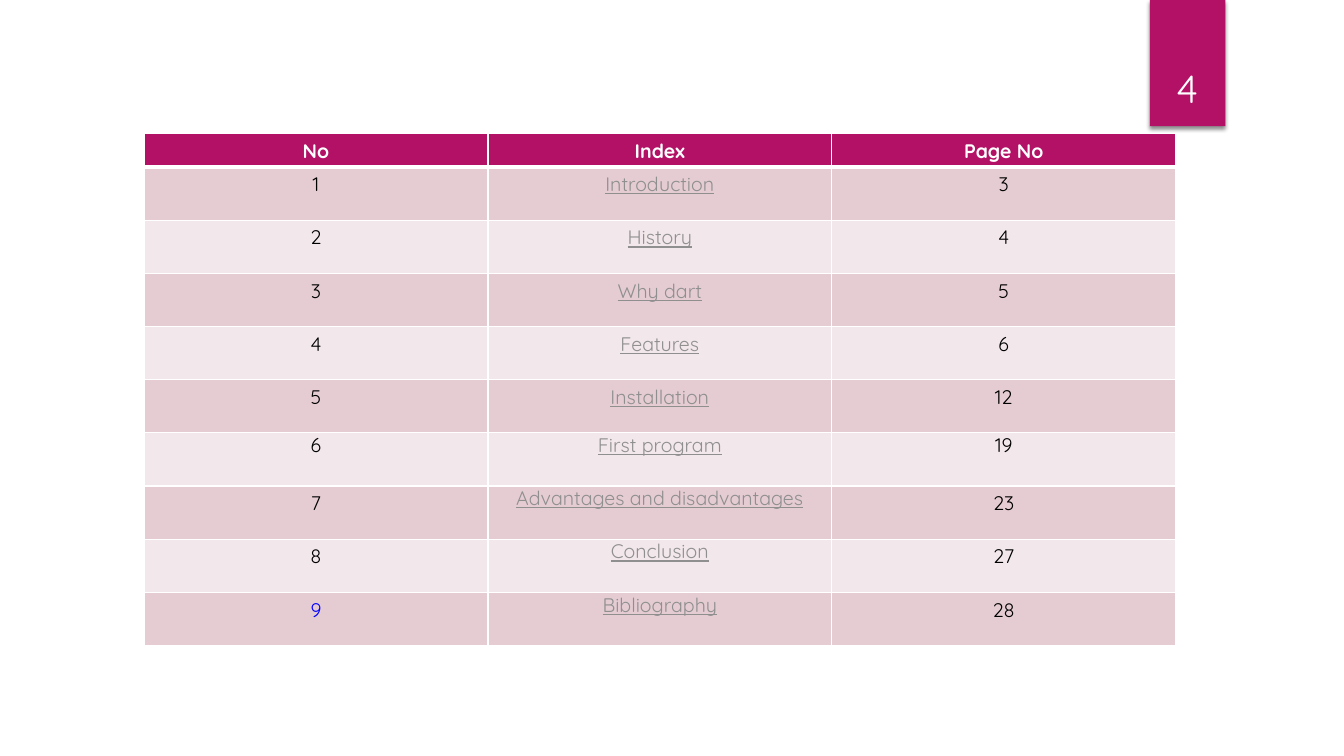
from lxml import etree
from pptx import Presentation
from pptx import util as u
from pptx.dml.color import RGBColor
from pptx.enum import shapes, text
from pptx.oxml import ns

PINK = RGBColor(0xB3, 0x11, 0x66)
ROSE = RGBColor(0xE5, 0xCC, 0xD3)
PALE = RGBColor(0xF2, 0xE7, 0xEA)
GRAY = RGBColor(0x8F, 0x8F, 0x8F)
BLUE = RGBColor(0x00, 0x00, 0xFF)
WHITE = RGBColor(0xFF, 0xFF, 0xFF)
BLACK = RGBColor(0x00, 0x00, 0x00)

HEAD = ("No", "Index", "Page No")
TOPICS = (
    ("Introduction", 3), ("History", 4), ("Why dart", 5),
    ("Features", 6), ("Installation", 12), ("First program", 19),
    ("Advantages and disadvantages", 23), ("Conclusion", 27),
    ("Bibliography", 28),
)
FLUSH_ROW = 6  # every cell here has no top margin
FLUSH_FROM = 6  # topics from here on have no top margin


def add(parent, tag, **attrs):
    """Append a DrawingML child element and return it."""
    return etree.SubElement(parent, ns.qn("a:" + tag), attrs)


class Deck:
    """Hold the style and the current slide."""

    font = "Quicksand"
    size = 14

    def __init__(self, slide):
        """Keep the slide to draw on."""
        self.slide = slide

    def put(self, frame, words, color, size=None, bold=False, under=False):
        """Put one centred run into a text frame."""
        para = frame.paragraphs[0]
        para.alignment = text.PP_ALIGN.CENTER
        run = para.add_run()
        run.text = words
        font = run.font
        font.name, font.size = self.font, u.Pt(size or self.size)
        font.bold, font.underline = bold, under
        font.color.rgb = color

    def tab(self, left, top, width, height):
        """Draw the pink tab with its soft shadow."""
        box = self.slide.shapes.add_shape(
            shapes.MSO_SHAPE.RECTANGLE, left, top, width, height)
        box.fill.solid()
        box.fill.fore_color.rgb = PINK
        box.line.fill.background()
        box.shadow.inherit = False
        effects = box._element.spPr.find(ns.qn("a:effectLst"))
        shade = add(effects, "outerShdw", blurRad=str(u.Pt(3)),
                    dist=str(u.Pt(2)), dir="5400000", rotWithShape="0")
        add(add(shade, "srgbClr", val=str(BLACK)), "alpha", val="45000")

    def label(self, words, left, top, width, height, size):
        """Add white text that sits at the bottom of its box."""
        frame = self.slide.shapes.add_textbox(
            left, top, width, height).text_frame
        frame.word_wrap = True
        frame.vertical_anchor = text.MSO_ANCHOR.BOTTOM
        self.put(frame, words, WHITE, size)

    def grid(self, rows, cols, left, top, width, first, step):
        """Add a plain table with one head row and equal body rows."""
        table = self.slide.shapes.add_table(
            rows, cols, left, top, width, first + step * (rows - 1)).table
        table.first_row = table.horz_banding = False
        for index, row in enumerate(table.rows):
            row.height = step if index else first
        return table

    def cell(self, cell, words, fill, color, edges, flush=False, **look):
        """Fill, border and label one cell; edges are top and bottom in points."""
        props = cell._tc.get_or_add_tcPr()
        for side, width in zip("LRTB", (1, 1, *edges)):
            line = add(props, "ln" + side, w=str(u.Pt(width)))
            add(add(line, "solidFill"), "srgbClr", val=str(WHITE))
        cell.fill.solid()
        cell.fill.fore_color.rgb = fill
        if flush:
            cell.margin_left = cell.margin_right = u.Cm(0.19)
            cell.margin_top = cell.margin_bottom = 0
        self.put(cell.text_frame, words, color, **look)


def index(deck):
    """Build the table of contents."""
    table = deck.grid(len(TOPICS) + 1, len(HEAD), u.Cm(3.63), u.Cm(3.36),
                      u.Cm(26), u.Cm(0.36), u.Cm(1.34))
    for col, words in enumerate(HEAD):
        deck.cell(table.cell(0, col), words, PINK, WHITE, (1, 3), bold=True)
    for row, (topic, page) in enumerate(TOPICS, 1):
        fill = ROSE if row % 2 else PALE
        edges = (3 if row == 1 else 1, 1)
        first = BLUE if row == len(TOPICS) else BLACK
        flush = row == FLUSH_ROW
        deck.cell(table.cell(row, 0), str(row), fill, first, edges, flush)
        deck.cell(table.cell(row, 1), topic, fill, GRAY, edges,
                  row >= FLUSH_FROM, under=True)
        deck.cell(table.cell(row, 2), str(page), fill, BLACK, edges, flush)


def main():
    """Build and save the slide."""
    show = Presentation()
    show.slide_width, show.slide_height = u.Cm(33.87), u.Cm(19.05)
    deck = Deck(show.slides.add_slide(show.slide_layouts[6]))
    deck.tab(u.Cm(28.98), 0, u.Cm(1.9), u.Cm(3.18))
    deck.label("4", u.Cm(28.75), u.Cm(0.81), u.Cm(2.34), u.Cm(2.13), 28)
    index(deck)
    show.save("out.pptx")


main()
